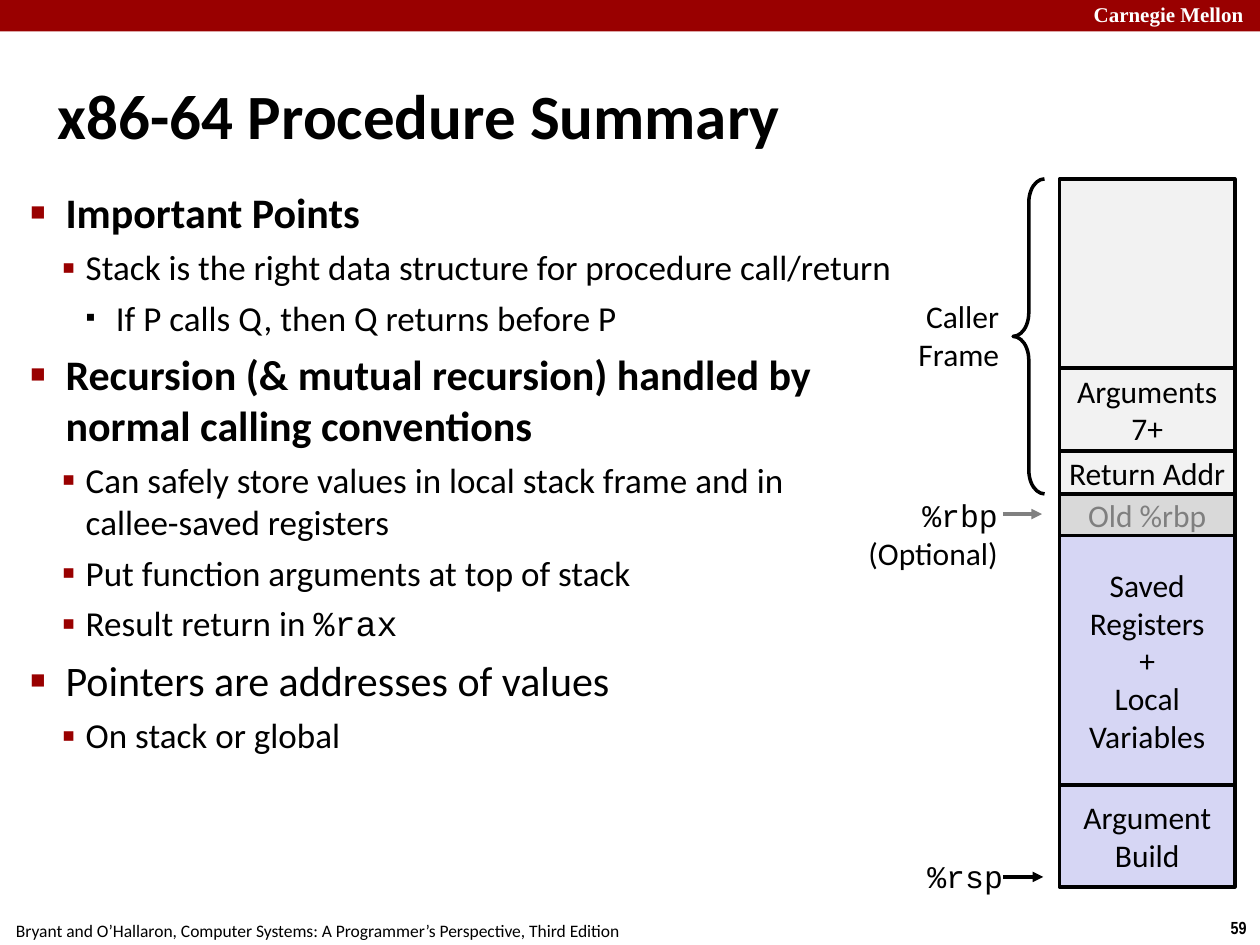
from typing import NamedTuple

from lxml import etree
from pptx import Presentation
from pptx.dml.color import RGBColor
from pptx.enum.shapes import MSO_CONNECTOR, MSO_SHAPE
from pptx.enum.text import MSO_ANCHOR, MSO_AUTO_SIZE, PP_ALIGN
from pptx.oxml.ns import qn
from pptx.util import Inches, Pt

RECTANGLE, LEFT_BRACE = MSO_SHAPE.RECTANGLE, MSO_SHAPE.LEFT_BRACE
STRAIGHT = MSO_CONNECTOR.STRAIGHT
TOP, MIDDLE = MSO_ANCHOR.TOP, MSO_ANCHOR.MIDDLE
LEFT, CENTER, RIGHT = PP_ALIGN.LEFT, PP_ALIGN.CENTER, PP_ALIGN.RIGHT
NO_FIT = MSO_AUTO_SIZE.NONE

COLORS = {
    "black": "000000", "white": "FFFFFF", "red": "990000",
    "caller": "F2F2F2", "saved": "D9D9D9", "callee": "D6D6F4",
    "muted": "7F7F7F", "gray": "808080",
}
BODY_FONT, CODE_FONT = "Calibri", "Courier New"


class Level(NamedTuple):
    size: int
    left: float
    hanging: float
    before: int
    bullet: str
    color: str
    percent: int


class Point(NamedTuple):
    level: int
    text: str
    bold: bool = False
    code: str = ""


class Cell(NamedTuple):
    height: float
    fill: str
    lines: tuple = ()
    color: str = "black"


class Label(NamedTuple):
    box: tuple
    lines: tuple
    fonts: tuple = (BODY_FONT,)
    size: int = 18
    color: str = "black"
    bold: bool = False
    align: PP_ALIGN = RIGHT
    wrap: bool = True
    insets: tuple = (0.04, 0.04)


LEVELS = [
    Level(24, 0.28, 0.28, 6, "■", "red", 60),
    Level(20, 0.44, 0.19, 5, "▪", "red", 110),
    Level(20, 0.68, 0.24, 5, "▪", "black", 80),
]
POINTS = [
    Point(0, "Important Points", bold=True),
    Point(1, "Stack is the right data structure for procedure call/return"),
    Point(2, "If P calls Q, then Q returns before P"),
    Point(0, "Recursion (& mutual recursion) handled by normal calling conventions", bold=True),
    Point(1, "Can safely store values in local stack frame and in \vcallee-saved registers"),
    Point(1, "Put function arguments at top of stack"),
    Point(1, "Result return in ", code="%rax"),
    Point(0, "Pointers are addresses of values"),
    Point(1, "On stack or global"),
]
STACK_LEFT, STACK_TOP, STACK_WIDTH = 8.41, 1.42, 1.39
STACK = [
    Cell(1.5, "caller"),
    Cell(0.66, "caller", ("Arguments", "7+")),
    Cell(0.34, "caller", ("Return Addr",)),
    Cell(0.33, "saved", ("Old %rbp",), "muted"),
    Cell(1.98, "callee", ("Saved", "Registers", "+", "Local", "Variables")),
    Cell(0.81, "callee", ("Argument", "Build")),
]
CALLER_HEIGHT = sum(cell.height for cell in STACK[:3])

CALLER_LABEL = Label((7.22, 2.32, 0.75, 0.69), ("Caller", "Frame"), wrap=False)
RBP_LABEL = Label((6.25, 3.9, 1.71, 0.36), ("%rbp", "(Optional)"), (CODE_FONT, BODY_FONT))
RSP_LABEL = Label((6.38, 6.76, 1.62, 0.36), ("%rsp",), (CODE_FONT,))
HEADER_LABEL = Label((8.64, -0.03, 1.44, 0.28), ("Carnegie Mellon",), ("Times New Roman",),
                     size=12, color="white", bold=True, align=LEFT)
NUMBER_LABEL = Label((9.66, 7.23, 0.34, 0.27), ("59",), ("Arial Narrow",), size=10,
                     bold=True, align=CENTER, wrap=False, insets=(0.1, 0.05))
SOURCE_LABEL = Label(
    (-0.02, 7.25, 5.08, 0.27),
    ("Bryant and O’Hallaron, Computer Systems: A Programmer’s Perspective, Third Edition",),
    size=10, align=CENTER, wrap=False, insets=(0.1, 0.05))


def rgb(name: str) -> RGBColor:
    return RGBColor.from_string(COLORS[name])


def inches(values: tuple) -> list:
    return [Inches(value) for value in values]


def format_frame(frame, insets: tuple, anchor=TOP, wrap: bool = True) -> None:
    across, down = inches(insets)
    values = {"margin_left": across, "margin_right": across, "margin_top": down,
              "margin_bottom": down, "vertical_anchor": anchor, "word_wrap": wrap,
              "auto_size": NO_FIT}
    for name, value in values.items():
        setattr(frame, name, value)


def format_span(span, size: int, font: str = BODY_FONT, color: str = "black",
                bold: bool = False) -> None:
    values = {"size": Pt(size), "name": font, "bold": bold}
    for name, value in values.items():
        setattr(span.font, name, value)
    span.font.color.rgb = rgb(color)


def write_lines(frame, lines: tuple, fonts: tuple, size: int, color: str,
                bold: bool, align) -> None:
    for index, line in enumerate(lines):
        para = frame.add_paragraph() if index else frame.paragraphs[0]
        para.alignment = align
        span = para.add_run()
        span.text = line
        format_span(span, size, fonts[min(index, len(fonts) - 1)], color, bold)


def add_label(slide, label: Label):
    box = slide.shapes.add_textbox(*inches(label.box))
    format_frame(box.text_frame, label.insets, wrap=label.wrap)
    write_lines(box.text_frame, label.lines, label.fonts, label.size, label.color,
                label.bold, label.align)
    return box


def add_block(slide, kind, box: tuple, fill: str = "", line: str = ""):
    shape = slide.shapes.add_shape(kind, *inches(box))
    shape.shadow.inherit = False
    if fill:
        shape.fill.solid()
        shape.fill.fore_color.rgb = rgb(fill)
    else:
        shape.fill.background()
    if line:
        shape.line.color.rgb = rgb(line)
        shape.line.width = Pt(2)
    else:
        shape.line.fill.background()
    return shape


def add_arrow(slide, left: float, right: float, y: float, color: str):
    arrow = slide.shapes.add_connector(STRAIGHT, *inches((left, y, right, y)))
    arrow.line.color.rgb = rgb(color)
    arrow.line.width = Pt(2)
    etree.SubElement(arrow.line._get_or_add_ln(), qn("a:tailEnd"), type="triangle")
    etree.SubElement(arrow._element.spPr, qn("a:effectLst"))
    return arrow


def add_bullet(para, level: Level) -> None:
    props = para._p.get_or_add_pPr()
    props.set("marL", str(Inches(level.left)))
    props.set("indent", str(-Inches(level.hanging)))
    color = etree.SubElement(props, qn("a:buClr"))
    etree.SubElement(color, qn("a:srgbClr"), val=COLORS[level.color])
    etree.SubElement(props, qn("a:buSzPct"), val=str(level.percent * 1000))
    etree.SubElement(props, qn("a:buChar"), char=level.bullet)


def write_points(frame) -> None:
    for index, point in enumerate(POINTS):
        level = LEVELS[point.level]
        para = frame.add_paragraph() if index else frame.paragraphs[0]
        para.text = point.text
        para.level = point.level
        add_bullet(para, level)
        para.space_before = Pt(level.before if index else 0)
        for span in para.runs:
            format_span(span, level.size, bold=point.bold)
        if point.code:
            span = para.add_run()
            span.text = point.code
            format_span(span, level.size, CODE_FONT)


def place(shape, box: tuple) -> None:
    for name, value in zip(("left", "top", "width", "height"), inches(box)):
        setattr(shape, name, value)


def main() -> None:
    deck = Presentation()
    deck.slide_width, deck.slide_height = Inches(10), Inches(7.5)
    page = deck.slides.add_slide(deck.slide_layouts[1])

    # Header bar and footer
    add_block(page, RECTANGLE, (0, 0, 10, 0.25), fill="red")
    for label in (HEADER_LABEL, SOURCE_LABEL, NUMBER_LABEL):
        add_label(page, label)

    # Title and bullet list
    title, body = page.shapes.title, page.placeholders[1]
    place(title, (0.42, 0.28, 9.17, 1.25))
    format_frame(title.text_frame, (0.04, 0.04), MIDDLE)
    write_lines(title.text_frame, ("x86-64 Procedure Summary",), (BODY_FONT,), 36,
                "black", True, LEFT)
    place(body, (0.2, 1.44, 7.13, 5.72))
    format_frame(body.text_frame, (0.04, 0.04))
    write_points(body.text_frame)

    # Stack frame, from the top down
    top = STACK_TOP
    for cell in STACK:
        block = add_block(page, RECTANGLE, (STACK_LEFT, top, STACK_WIDTH, cell.height),
                          cell.fill, "black")
        format_frame(block.text_frame, (0, 0), MIDDLE)
        write_lines(block.text_frame, cell.lines, (BODY_FONT,), 18, cell.color, False, CENTER)
        top += cell.height

    # Caller frame brace
    add_label(page, CALLER_LABEL)
    brace = add_block(page, LEFT_BRACE, (8.04, STACK_TOP, 0.25, CALLER_HEIGHT), line="black")
    brace.adjustments[0] = 0.75

    # Register pointers
    rbp = add_label(page, RBP_LABEL)
    add_arrow(page, 7.96, 8.27, 4.08, "gray").begin_connect(rbp, 3)
    add_label(page, RSP_LABEL)
    add_arrow(page, 7.96, 8.28, 6.96, "black")

    deck.save("out.pptx")


if __name__ == "__main__":
    main()
